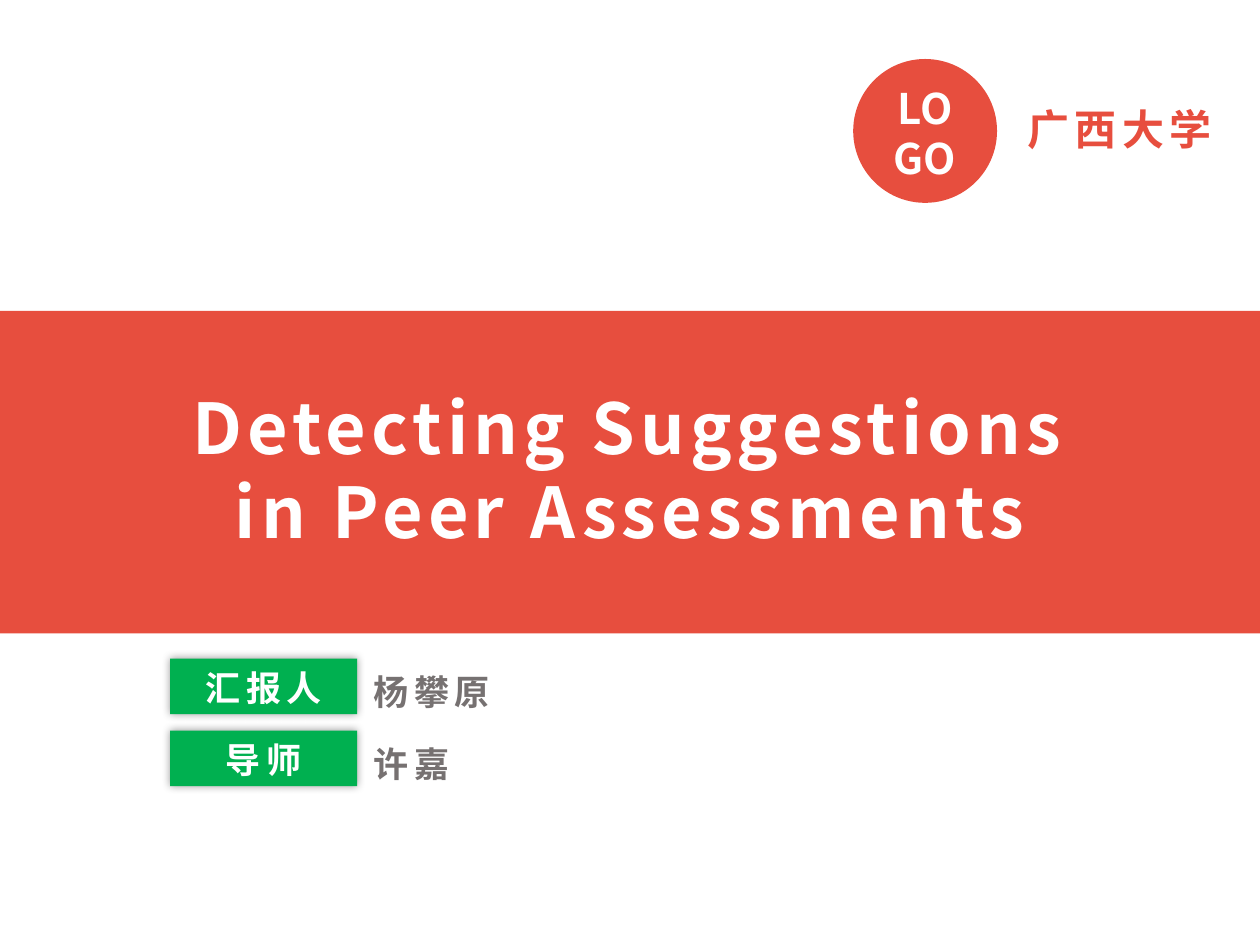
from lxml.etree import SubElement
from pptx import Presentation
from pptx.dml.color import RGBColor
from pptx.enum.shapes import MSO_SHAPE as Preset
from pptx.enum.text import MSO_ANCHOR as Anchor, MSO_AUTO_SIZE as AutoSize, PP_ALIGN as Align
from pptx.oxml.ns import qn
from pptx.util import Cm, Pt

TITLE = "Detecting Suggestions in Peer Assessments"
SCHOOL = "广西大学"
BADGE = "LOGO"
PEOPLE = [("汇报人", "杨攀原"), ("导师", "许嘉")]

COLORS = {"red": "E74E3E", "green": "00B050", "gray": "767171", "white": "FFFFFF"}
FONT = "Noto Sans CJK SC"
LINE_HEIGHT = 1.2
WIDTH, HEIGHT = 25.4, 19.05
FIRST_ROW, ROW_STEP = 13.28, 1.45


def color(name):
    return RGBColor.from_string(COLORS[name])


def set_text(shape, text, size, ink, align=Align.LEFT, anchor=Anchor.TOP, spacing=3):
    frame = shape.text_frame
    frame.text = text
    frame_format = {
        "word_wrap": True,
        "auto_size": AutoSize.NONE,
        "vertical_anchor": anchor,
        "margin_top": Cm(0.13) + Pt(size * 0.07),
    }
    for name, value in frame_format.items():
        setattr(frame, name, value)
    paragraph = frame.paragraphs[0]
    paragraph.alignment = align
    paragraph.line_spacing = Pt(size * LINE_HEIGHT)
    run = paragraph.runs[0]
    for name, value in {"name": FONT, "size": Pt(size), "bold": True}.items():
        setattr(run.font, name, value)
    run.font.color.rgb = color(ink)
    properties = run.font._element
    properties.set("spc", str(spacing * 100))
    SubElement(properties, qn("a:ea"), typeface=FONT)


def add_block(slide, preset, box, fill):
    shape = slide.shapes.add_shape(preset, *map(Cm, box))
    shape.shadow.inherit = False
    shape.fill.solid()
    shape.fill.fore_color.rgb = color(fill)
    shape.line.fill.background()
    return shape


def add_label(slide, box, text, size, ink):
    set_text(slide.shapes.add_textbox(*map(Cm, box)), text, size, ink)


def add_glow_shadow(shape):
    effects = shape._element.spPr.find(qn("a:effectLst"))
    shadow = SubElement(effects, qn("a:outerShdw"), blurRad=str(Pt(5)), dist="0",
                        algn="ctr", rotWithShape="0")
    shade = SubElement(shadow, qn("a:srgbClr"), val="000000")
    SubElement(shade, qn("a:alpha"), val="40000")


def main():
    presentation = Presentation()
    presentation.slide_width, presentation.slide_height = Cm(WIDTH), Cm(HEIGHT)
    slide = presentation.slides.add_slide(presentation.slide_layouts[5])

    badge = add_block(slide, Preset.OVAL, (17.2, 1.19, 2.9, 2.9), "red")
    set_text(badge, BADGE, 24, "white", Align.CENTER, Anchor.MIDDLE, 0)
    add_label(slide, (20.47, 1.9, 4.5, 1.27), SCHOOL, 24, "red")

    add_block(slide, Preset.RECTANGLE, (0, 6.27, WIDTH, 6.5), "red")
    title = slide.shapes.title
    slide.shapes._spTree.append(title._element)
    title_box = {"left": 2.95, "top": 7.52, "width": 19.5, "height": 3.68}
    for name, value in title_box.items():
        setattr(title, name, Cm(value))
    set_text(title, TITLE, 40, "white", Align.CENTER)

    for row, (role, person) in enumerate(PEOPLE):
        top = FIRST_ROW + row * ROW_STEP
        tag = add_block(slide, Preset.RECTANGLE, (3.43, top, 3.77, 1.12), "green")
        add_glow_shadow(tag)
        set_text(tag, role, 20, "white", Align.CENTER, Anchor.MIDDLE)
        add_label(slide, (7.29, top + 0.05, 4.5, 1.12), person, 20, "gray")

    presentation.save("out.pptx")


if __name__ == "__main__":
    main()
